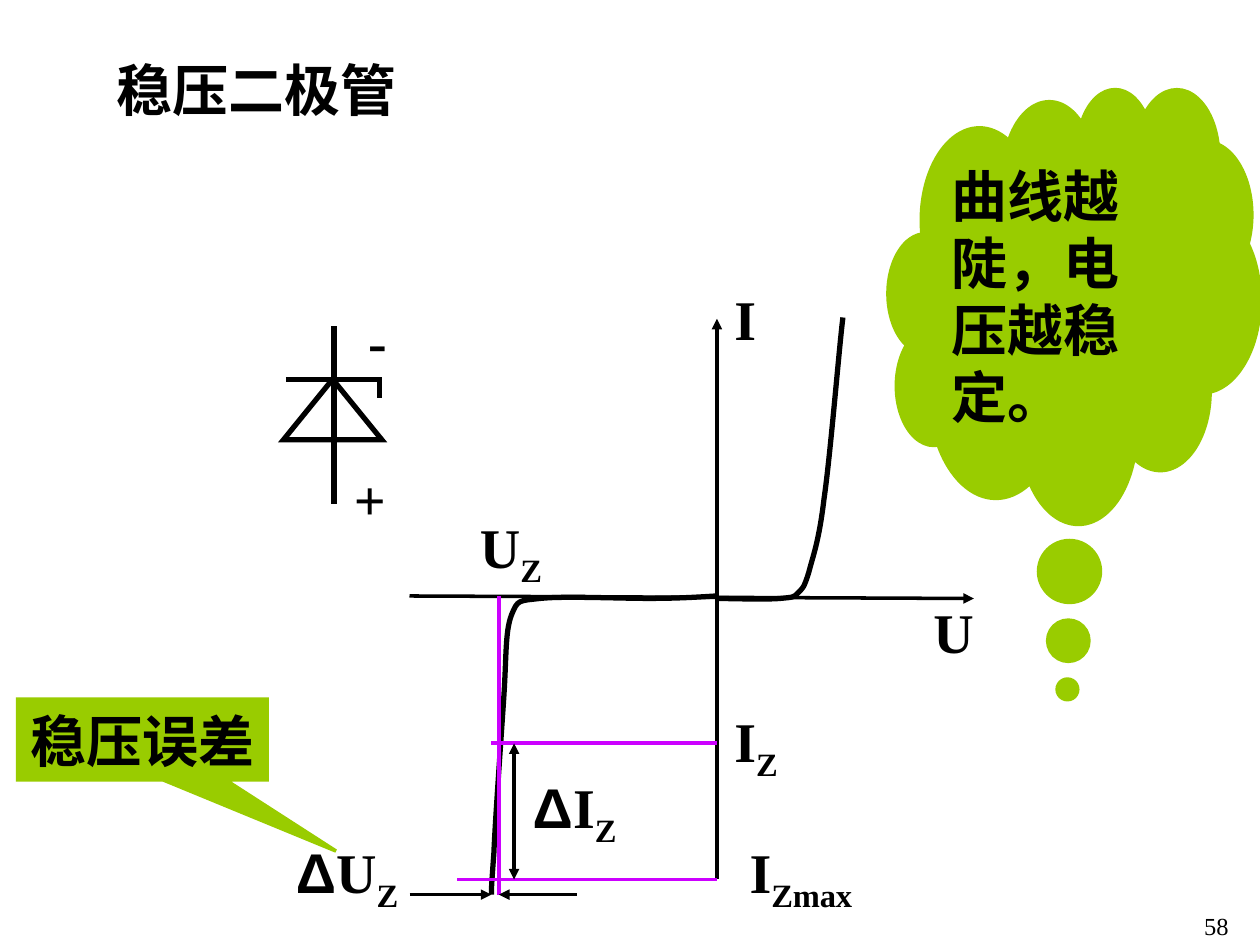
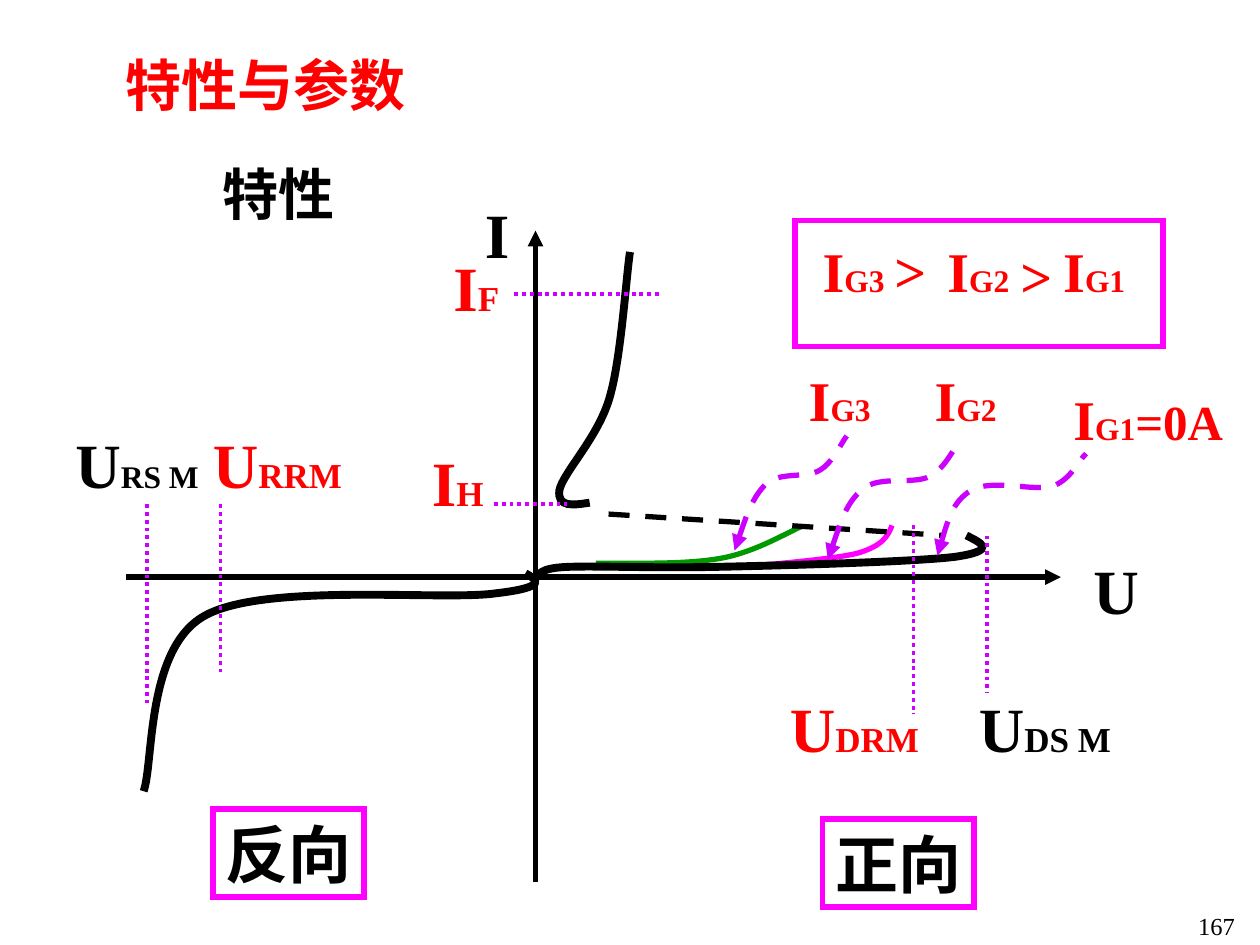
"""Build two slides on the Zener diode and the thyristor characteristic."""
from lxml import etree
from pptx import Presentation
from pptx.dml.color import RGBColor
from pptx.enum.dml import MSO_LINE
from pptx.enum.shapes import MSO_CONNECTOR, MSO_SHAPE
from pptx.enum.text import MSO_ANCHOR, MSO_AUTO_SIZE, PP_ALIGN
from pptx.oxml.ns import qn
from pptx.util import Inches, Pt

COLORS = {"black": "000000", "red": "FF0000", "purple": "CC00FF", "magenta": "FF00FF",
          "green": "009900", "lime": "99CC00", "white": "FFFFFF"}
BODY_FONT = "Times New Roman"
SYMBOL_FONT = "Arial"
STRAIGHT = MSO_CONNECTOR.STRAIGHT
RECTANGLE = MSO_SHAPE.RECTANGLE
TRIANGLE = MSO_SHAPE.ISOSCELES_TRIANGLE
RECT_CALLOUT = MSO_SHAPE.RECTANGULAR_CALLOUT
CLOUD_CALLOUT = MSO_SHAPE.CLOUD_CALLOUT
DASH = MSO_LINE.DASH
DOT = MSO_LINE.ROUND_DOT
LEFT, CENTER = PP_ALIGN.LEFT, PP_ALIGN.CENTER
TOP, MIDDLE = MSO_ANCHOR.TOP, MSO_ANCHOR.MIDDLE
FIT = MSO_AUTO_SIZE.SHAPE_TO_FIT_TEXT
LOWERED = {"baseline": -25000}
DELTA = ("Δ", {"font": SYMBOL_FONT})


def rgb(name):
    """Return the named colour."""
    return RGBColor.from_string(COLORS[name])


def add_span(para, text, size=32, color="black", font=BODY_FONT, bold=True, baseline=0):
    """Add one formatted run of text to a paragraph."""
    span = para.add_run()
    span.text = text
    span.font.size = Pt(size)
    span.font.name = font
    span.font.bold = bold
    span.font.color.rgb = rgb(color)
    if baseline:
        span.font._element.set("baseline", str(baseline))


class Drawing:
    """Hold the deck style and the current page."""

    def __init__(self):
        """Start an empty deck of 10 by 7.5 inches."""
        self.deck = Presentation()
        self.deck.slide_width = Inches(10)
        self.deck.slide_height = Inches(7.5)
        self.page = None

    def new_page(self, number):
        """Start a page and write its number."""
        self.page = self.deck.slides.add_slide(self.deck.slide_layouts[6])
        self.text((9.31, 7.18, 0.69, 0.33), str(number), size=14, bold=False,
                  align=CENTER, anchor=MIDDLE)

    def fill_text(self, box, spans, wrap=True, align=LEFT, anchor=TOP, **style):
        """Write plain strings or (text, overrides) pairs into a box."""
        frame = box.text_frame
        frame.word_wrap = wrap
        frame.auto_size = FIT
        frame.vertical_anchor = anchor
        para = frame.paragraphs[0]
        para.alignment = align
        for span in spans:
            text, changes = (span, {}) if isinstance(span, str) else span
            add_span(para, text, **{**style, **changes})

    def text(self, place, *spans, **style):
        """Add a text box."""
        box = self.page.shapes.add_textbox(*map(Inches, place))
        self.fill_text(box, spans, **style)

    def stroke(self, line, color, width, dash=None, head=False, tail=False):
        """Format an outline and its arrowheads."""
        line.color.rgb = rgb(color)
        line.width = Pt(width)
        if dash:
            line.dash_style = dash
        outline = line._get_or_add_ln()
        etree.SubElement(outline, qn("a:miter"), lim="800000")
        for tag, wanted in (("a:headEnd", head), ("a:tailEnd", tail)):
            if wanted:
                etree.SubElement(outline, qn(tag), type="triangle")

    def line(self, start, end, color="black", width=2, **ends):
        """Add a straight connector."""
        connector = self.page.shapes.add_connector(STRAIGHT, *map(Inches, start + end))
        self.stroke(connector.line, color, width, **ends)
        etree.SubElement(connector._element.spPr, qn("a:effectLst"))

    def curve(self, points, color="black", width=3, **ends):
        """Add a cubic curve from a start point and triples of control points."""
        points = [(Inches(x), Inches(y)) for x, y in points]
        builder = self.page.shapes.build_freeform(*points[0])
        builder.add_line_segments(points[1:], close=False)
        shape = builder.convert_to_shape()
        shape.shadow.inherit = False
        shape.fill.background()
        self.stroke(shape.line, color, width, **ends)
        path = shape._element.find(".//" + qn("a:path"))
        segments = path.findall(qn("a:lnTo"))
        for first in range(0, len(segments), 3):
            bezier = etree.SubElement(path, qn("a:cubicBezTo"))
            for segment in segments[first:first + 3]:
                bezier.append(segment[0])
                path.remove(segment)

    def shape(self, kind, place, *spans, fill=None, outline="black", width=3,
              adjust=(), **style):
        """Add a preset shape with optional text."""
        shape = self.page.shapes.add_shape(kind, *map(Inches, place))
        shape.shadow.inherit = False
        for index, value in enumerate(adjust):
            shape.adjustments[index] = value
        if fill:
            shape.fill.solid()
            shape.fill.fore_color.rgb = rgb(fill)
        else:
            shape.fill.background()
        self.stroke(shape.line, outline, width)
        if spans:
            self.fill_text(shape, spans, **style)


def zener_page(drawing):
    """Draw the Zener diode symbol and its characteristic."""
    drawing.new_page(58)
    drawing.text((0.83, 0.39, 4.13, 0.64), "稳压二极管")

    drawing.line((5.69, 2.53), (5.69, 6.98), head=True)
    drawing.line((3.25, 4.73), (7.73, 4.75), tail=True)
    drawing.curve([(5.69, 4.75), (5.77, 4.75), (6.08, 4.76), (6.19, 4.75),
                   (6.3, 4.74), (6.3, 4.74), (6.33, 4.71),
                   (6.37, 4.67), (6.38, 4.67), (6.42, 4.54),
                   (6.45, 4.42), (6.5, 4.3), (6.54, 3.96),
                   (6.59, 3.62), (6.66, 2.76), (6.69, 2.52)])
    drawing.curve([(5.69, 4.73), (5.53, 4.74), (5.38, 4.75), (5.15, 4.75),
                   (4.91, 4.75), (4.47, 4.73), (4.29, 4.75),
                   (4.11, 4.77), (4.11, 4.76), (4.06, 4.88),
                   (4.01, 5.01), (4.02, 5.19), (4, 5.51),
                   (3.98, 5.82), (3.93, 6.51), (3.92, 6.77),
                   (3.9, 7.04), (3.9, 7.05), (3.9, 7.1)])

    for start, end in (((3.96, 4.73), (3.96, 7.1)), ((3.9, 5.9), (5.69, 5.9)),
                       ((5.69, 6.98), (3.63, 6.98))):
        drawing.line(start, end, "purple", 2.25)
    drawing.line((3.25, 7.1), (3.9, 7.1), tail=True)
    drawing.line((3.96, 7.1), (4.58, 7.1), head=True)
    drawing.line((4.08, 5.9), (4.08, 6.98), head=True, tail=True)

    drawing.text((7.31, 4.69, 1.56, 0.64), "U")
    drawing.text((5.73, 2.21, 0.4, 0.64), "I")
    for left, top, width, spans, index in (
            (3.71, 4.02, 1.4, ["U"], "Z"), (5.73, 5.56, 1.73, ["I"], "Z"),
            (5.85, 6.6, 2.08, ["I"], "Zmax"), (2.25, 6.6, 1.83, [DELTA, "U"], "Z"),
            (4.13, 6.08, 1.4, [DELTA, "I"], "Z")):
        drawing.text((left, top, width, 0.71), *spans, (index, LOWERED))

    drawing.shape(RECT_CALLOUT, (0.14, 5.55, 1.98, 0.64), "稳压误差", fill="lime",
                  outline="lime", width=2, adjust=(0.776, 1.382), wrap=False,
                  align=CENTER, anchor=MIDDLE)
    drawing.shape(CLOUD_CALLOUT, (7.05, 0.7, 2.95, 3.45), "曲线越陡，电压越稳定。",
                  fill="lime", outline="lime", width=2, adjust=(-0.018, 0.883),
                  anchor=MIDDLE)

    drawing.shape(TRIANGLE, (2.25, 3.01, 0.78, 0.48))
    for start, end in (((2.27, 3.01), (3.03, 3.01)), ((3.01, 3), (3.01, 3.16)),
                       ((2.65, 2.59), (2.65, 4))):
        drawing.line(start, end, width=3)
    for place, sign in (((2.71, 3.63, 0.45, 0.64), "+"), ((2.82, 2.38, 0.35, 0.64), "-")):
        drawing.text(place, sign, wrap=False, align=CENTER, anchor=MIDDLE)


def thyristor_page(drawing):
    """Draw the thyristor characteristic with its parameters."""
    drawing.new_page(167)
    drawing.curve([(7.08, 4.17), (7.05, 4.25), (7.01, 4.33), (6.81, 4.39),
                   (6.62, 4.44), (6.07, 4.48), (5.92, 4.5)], "magenta")
    drawing.curve([(4.73, 4.47), (5.09, 4.47), (5.46, 4.48), (5.73, 4.43),
                   (6, 4.38), (6.26, 4.22), (6.36, 4.18)], "green")
    drawing.text((0.9, 0.35, 2.6, 0.64), "特性与参数", color="red")
    drawing.text((1.67, 1.22, 1.2, 0.64), "特性")

    reverse = [(4.17, 4.55), (4.26, 4.6), (4.36, 4.66), (3.93, 4.71),
               (3.51, 4.77), (2.09, 4.62), (1.62, 4.89),
               (1.16, 5.15), (1.22, 6.05), (1.14, 6.28)]
    conducting = [(4.68, 3.99), (4.55, 4.01), (4.42, 4.03), (4.44, 3.89),
                  (4.47, 3.75), (4.75, 3.47), (4.84, 3.15),
                  (4.93, 2.84), (4.97, 2.19), (5, 2)]
    blocking = [(7.67, 4.25), (7.79, 4.31), (7.92, 4.37), (7.58, 4.42),
                (7.25, 4.46), (6.18, 4.49), (5.67, 4.5),
                (5.15, 4.51), (4.74, 4.49), (4.5, 4.5),
                (4.26, 4.51), (4.29, 4.57), (4.25, 4.58)]
    drawing.line((4.83, 4.08), (7.5, 4.25), width=3, dash=DASH)
    for branch in (reverse, conducting, blocking):
        drawing.curve(branch, width=4.5)
    drawing.line((4.25, 1.83), (4.25, 7), width=3, head=True)
    drawing.line((1, 4.58), (8.42, 4.58), width=3, tail=True)

    for start, end in (((1.17, 4), (1.17, 5.58)), ((7.83, 4.25), (7.83, 5.5)),
                       ((1.75, 4), (1.75, 5.33)), ((3.92, 4), (4.5, 4)),
                       ((7.25, 4.17), (7.25, 5.67)), ((4.08, 2.33), (5.25, 2.33))):
        drawing.line(start, end, "purple", 2.25, dash=DOT)

    drawing.text((8.58, 4.33, 0.67, 0.7), "U", size=36)
    drawing.text((3.75, 1.5, 0.45, 0.7), "I", size=36)
    for left, top, width, letter, index, index_size, color in (
            (0.5, 3.33, 1.3, "U", "RS M", 18, "black"),
            (7.67, 5.42, 1.35, "U", "DS M", 20, "black"),
            (1.59, 3.33, 1.35, "U", "RRM", 20, "red"),
            (3.33, 3.47, 0.7, "I", "H", 20, "red"),
            (6.17, 5.42, 1.35, "U", "DRM", 20, "red"),
            (3.5, 1.92, 0.7, "I", "F", 20, "red")):
        drawing.text((left, top, width, 0.7), letter, (index, {"size": index_size}),
                     size=36, color=color)

    for pointer in (
            [(6.57, 4.44), (6.65, 4.21), (6.72, 3.98), (6.85, 3.88),
             (6.98, 3.77), (7.25, 3.85), (7.38, 3.78),
             (7.5, 3.72), (7.58, 3.54), (7.62, 3.49)],
            [(7.44, 4.41), (7.5, 4.2), (7.56, 3.98), (7.71, 3.89),
             (7.87, 3.8), (8.2, 3.9), (8.35, 3.86),
             (8.5, 3.81), (8.57, 3.64), (8.62, 3.6)],
            [(5.83, 4.37), (5.9, 4.16), (5.97, 3.95), (6.08, 3.84),
             (6.19, 3.74), (6.4, 3.8), (6.51, 3.73),
             (6.61, 3.67), (6.68, 3.51), (6.72, 3.46)]):
        drawing.curve(pointer, "purple", dash=DASH, head=True)

    drawing.shape(RECTANGLE, (6.31, 1.75, 2.92, 1), fill="white", outline="magenta")
    for left, top, index in ((7.32, 2.85, "G2"), (6.32, 2.85, "G3"), (6.43, 1.83, "G3"),
                             (7.42, 1.83, "G2"), (8.34, 1.83, "G1")):
        drawing.text((left, top, 0.8, 0.64), "I", (index, {"size": 18}), color="red")
    drawing.text((8.42, 3, 1.5, 0.64), "I", ("G1", {"size": 18}), ("=0A", {"size": 28}),
                 color="red")
    for left, top in ((7, 1.83), (8, 1.87)):
        drawing.text((left, top, 0.5, 0.64), ">", color="red")
    for left, top, direction in ((6.53, 6.5, "正向"), (1.69, 6.42, "反向")):
        drawing.shape(RECTANGLE, (left, top, 1.2, 0.7), direction, outline="magenta",
                      size=36, wrap=False)


def main():
    """Build both pages and save the deck."""
    drawing = Drawing()
    zener_page(drawing)
    thyristor_page(drawing)
    drawing.deck.save("out.pptx")


if __name__ == "__main__":
    main()
